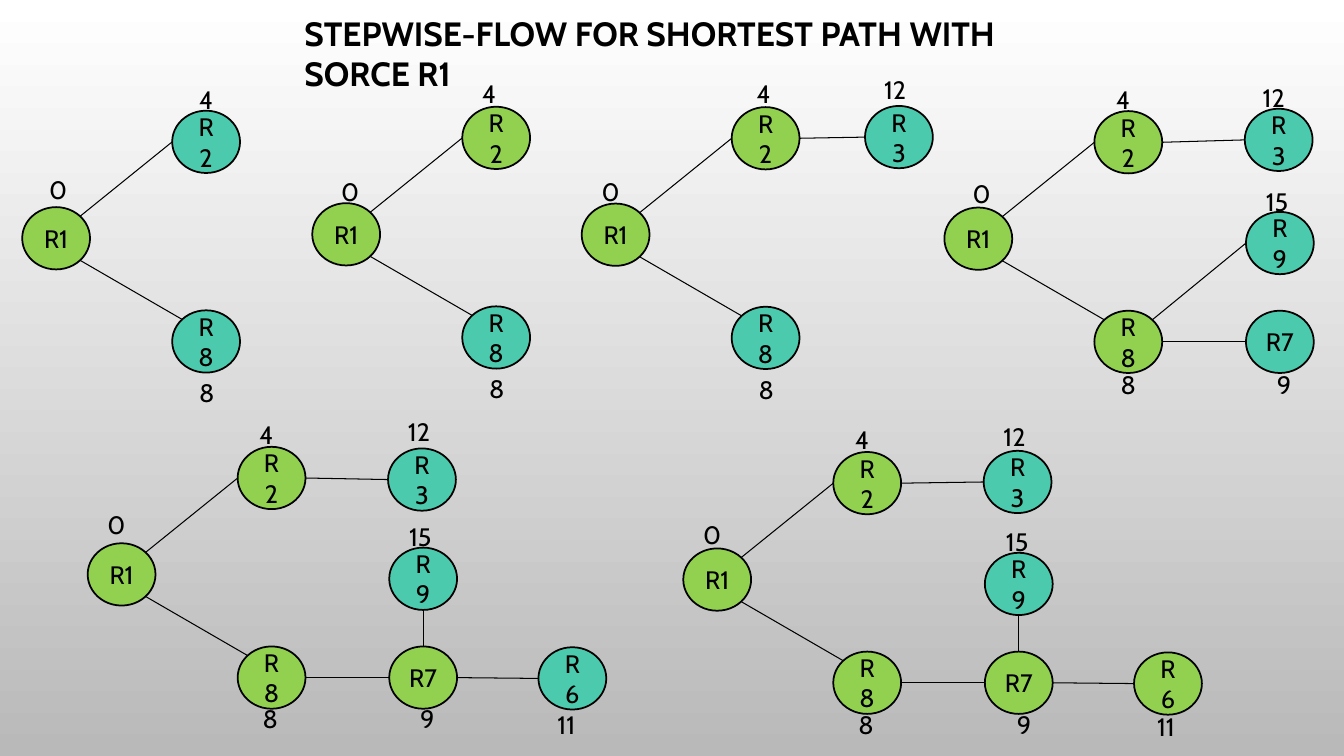
from dataclasses import dataclass
from math import cos, radians, sin

from lxml.etree import SubElement
from pptx import Presentation
from pptx.dml.color import RGBColor
from pptx.enum.shapes import MSO_CONNECTOR, MSO_SHAPE
from pptx.enum.text import MSO_ANCHOR, MSO_AUTO_SIZE, PP_ALIGN
from pptx.oxml.ns import qn
from pptx.util import Cm, Pt


@dataclass(frozen=True)
class Theme:
    """Colours, type sizes and line widths of the slide."""
    font: str = "Cabin"
    ink: RGBColor = RGBColor(0x00, 0x00, 0x00)
    settled: RGBColor = RGBColor(0x92, 0xD0, 0x50)
    tentative: RGBColor = RGBColor(0x4B, 0xCA, 0xAD)
    top: RGBColor = RGBColor(0xFF, 0xFF, 0xFF)
    bottom: RGBColor = RGBColor(0xB9, 0xB9, 0xB9)
    title_size: int = 24
    text_size: int = 18
    outline: float = 1.25
    link: float = 0.75


NODE_WIDTH, NODE_HEIGHT = 1.71, 1.57
LABEL_HEIGHT = 1.02
TOP, LEFT, BOTTOM, RIGHT = 0, 2, 4, 6
TOP_LEFT, BOTTOM_RIGHT, TOP_RIGHT = 1, 5, 7

DISTANCES = {"R1": "0", "R2": "4", "R8": "8", "R3": "12", "R7": "9", "R9": "15", "R6": "11"}
OFFSETS = {"R1": (0, 0), "R2": (3.78, -2.43), "R8": (3.78, 2.6), "R3": (7.57, -2.44),
           "R7": (7.6, 2.6), "R9": (7.6, 0.11), "R6": (11.36, 2.62)}

START = [("R1", BOTTOM_RIGHT, "R8", TOP_LEFT), ("R1", TOP_RIGHT, "R2", LEFT)]
VIA_R2 = START + [("R2", RIGHT, "R3", LEFT)]
VIA_R8 = VIA_R2 + [("R8", RIGHT, "R7", LEFT)]
R9_FROM_R8 = VIA_R8 + [("R8", TOP_RIGHT, "R9", LEFT)]
VIA_R7 = VIA_R8 + [("R9", BOTTOM, "R7", TOP), ("R7", RIGHT, "R6", LEFT)]


@dataclass(frozen=True)
class Step:
    """One stage: R1's corner, settled nodes, links, label offsets and R3's offset."""
    origin: tuple
    settled: str
    links: list
    labels: dict
    r3_offset: tuple = OFFSETS["R3"]


STEPS = [
    Step((0.56, 5.22), "R1", START,
         {"R1": (0.43, -0.94), "R2": (0.43, -0.79), "R8": (0.43, 1.57)}),
    Step((7.87, 5.12), "R1 R2", START,
         {"R1": (0.48, -0.81), "R2": (0.25, -0.84), "R8": (0.43, 1.57)}),
    Step((14.66, 5.13), "R1 R2", VIA_R2,
         {"R1": (0.25, -0.81), "R2": (0.38, -0.84), "R8": (0.43, 1.57),
          "R3": (0.23, -0.91)}, (7.14, -2.46)),
    Step((23.8, 5.23), "R1 R2 R8", R9_FROM_R8,
         {"R1": (0.46, -0.86), "R2": (0.3, -0.79), "R8": (0.41, 1.35),
          "R3": (0.2, -0.79), "R7": (0.53, 1.35), "R9": (0.25, -0.76)}, (7.57, -2.49)),
    Step((2.21, 13.69), "R1 R2 R8 R7", VIA_R7,
         {"R1": (0.25, -0.97), "R2": (0.3, -0.81), "R8": (0.38, 1.32),
          "R3": (0.25, -0.94), "R7": (0.53, 1.32), "R9": (0.25, -0.79),
          "R6": (0.23, 1.45)}, (7.57, -2.39)),
    Step((17.22, 13.82), "R1 R2 R8 R7 R6", VIA_R7,
         {"R1": (0.25, -0.86), "R2": (0.3, -0.81), "R8": (0.38, 1.32),
          "R3": (0.25, -0.86), "R7": (0.56, 1.32), "R9": (0.28, -0.79),
          "R6": (0.33, 1.37)}, (7.57, -2.46)),
]


def write(shape, text, *, font, size, color, bold=False, align=PP_ALIGN.LEFT,
          anchor=MSO_ANCHOR.TOP, wrap=True):
    """Put formatted text into a shape."""
    frame = shape.text_frame
    frame.word_wrap = wrap
    frame.vertical_anchor = anchor
    paragraph = frame.paragraphs[0]
    paragraph.alignment = align
    run = paragraph.add_run()
    run.text = text
    run.font.name = font
    run.font.size = Pt(size)
    run.font.bold = bold
    run.font.color.rgb = color


def ellipse_site(shape, site):
    """Return the point of an ellipse's connection site, counted from the top leftwards."""
    angle = radians(45 * site)
    return (round(shape.left + shape.width / 2 * (1 - sin(angle))),
            round(shape.top + shape.height / 2 * (1 - cos(angle))))


class Canvas:
    """Draws styled elements on the current slide."""

    def __init__(self, slide, theme):
        """Keep the slide and its theme."""
        self.slide = slide
        self.theme = theme

    def background(self):
        """Fill the slide with a vertical gradient."""
        fill = self.slide.background.fill
        fill.gradient()
        fill.gradient_angle = 270
        for stop, color in zip(fill.gradient_stops, (self.theme.top, self.theme.bottom)):
            stop.color.rgb = color

    def text(self, text, left, top, width, height, **text_format):
        """Add a text box."""
        box = self.slide.shapes.add_textbox(Cm(left), Cm(top), Cm(width), Cm(height))
        settings = {"font": self.theme.font, "size": self.theme.text_size,
                    "color": self.theme.ink} | text_format
        write(box, text, **settings)
        return box

    def label(self, text, left, top):
        """Add the distance label of a node."""
        box = self.text(text, left, top, 0.51 + 0.33 * len(text), LABEL_HEIGHT, wrap=False)
        box.text_frame.auto_size = MSO_AUTO_SIZE.SHAPE_TO_FIT_TEXT

    def node(self, name, left, top, color):
        """Add a router as a filled ellipse."""
        shape = self.slide.shapes.add_shape(
            MSO_SHAPE.OVAL, Cm(left), Cm(top), Cm(NODE_WIDTH), Cm(NODE_HEIGHT))
        shape.shadow.inherit = False
        shape.fill.solid()
        shape.fill.fore_color.rgb = color
        shape.line.color.rgb = self.theme.ink
        shape.line.width = Pt(self.theme.outline)
        write(shape, name, font=self.theme.font, size=self.theme.text_size,
              color=self.theme.ink, align=PP_ALIGN.CENTER, anchor=MSO_ANCHOR.MIDDLE)
        return shape

    def link(self, start, start_site, end, end_site):
        """Join two nodes at their connection sites."""
        connector = self.slide.shapes.add_connector(
            MSO_CONNECTOR.STRAIGHT, *ellipse_site(start, start_site),
            *ellipse_site(end, end_site))
        connector.line.color.rgb = self.theme.ink
        connector.line.width = Pt(self.theme.link)
        element = connector._element
        SubElement(element.spPr, qn("a:effectLst"))
        joints = element.find(".//" + qn("p:cNvCxnSpPr"))
        for tag, shape, site in (("a:stCxn", start, start_site), ("a:endCxn", end, end_site)):
            SubElement(joints, qn(tag), id=str(shape.shape_id), idx=str(site))

    def step(self, step):
        """Draw one stage of the shortest-path search."""
        offsets = OFFSETS | {"R3": step.r3_offset}
        nodes = {}
        for name, (label_x, label_y) in step.labels.items():
            left, top = (sum(pair) for pair in zip(step.origin, offsets[name]))
            settled = name in step.settled.split()
            color = self.theme.settled if settled else self.theme.tentative
            nodes[name] = self.node(name, left, top, color)
            self.label(DISTANCES[name], left + label_x, top + label_y)
        for start, start_site, end, end_site in step.links:
            self.link(nodes[start], start_site, nodes[end], end_site)


def main():
    """Build and save the slide."""
    presentation = Presentation()
    presentation.slide_width, presentation.slide_height = Cm(33.87), Cm(19.05)
    slide = presentation.slides.add_slide(presentation.slide_layouts[6])
    canvas = Canvas(slide, Theme())
    canvas.background()
    for step in STEPS:
        canvas.step(step)
    canvas.text("STEPWISE-FLOW FOR SHORTEST PATH WITH SORCE R1", 7.42, 0.2, 19.81, 1.27,
                size=canvas.theme.title_size, bold=True)
    presentation.save("out.pptx")


if __name__ == "__main__":
    main()
